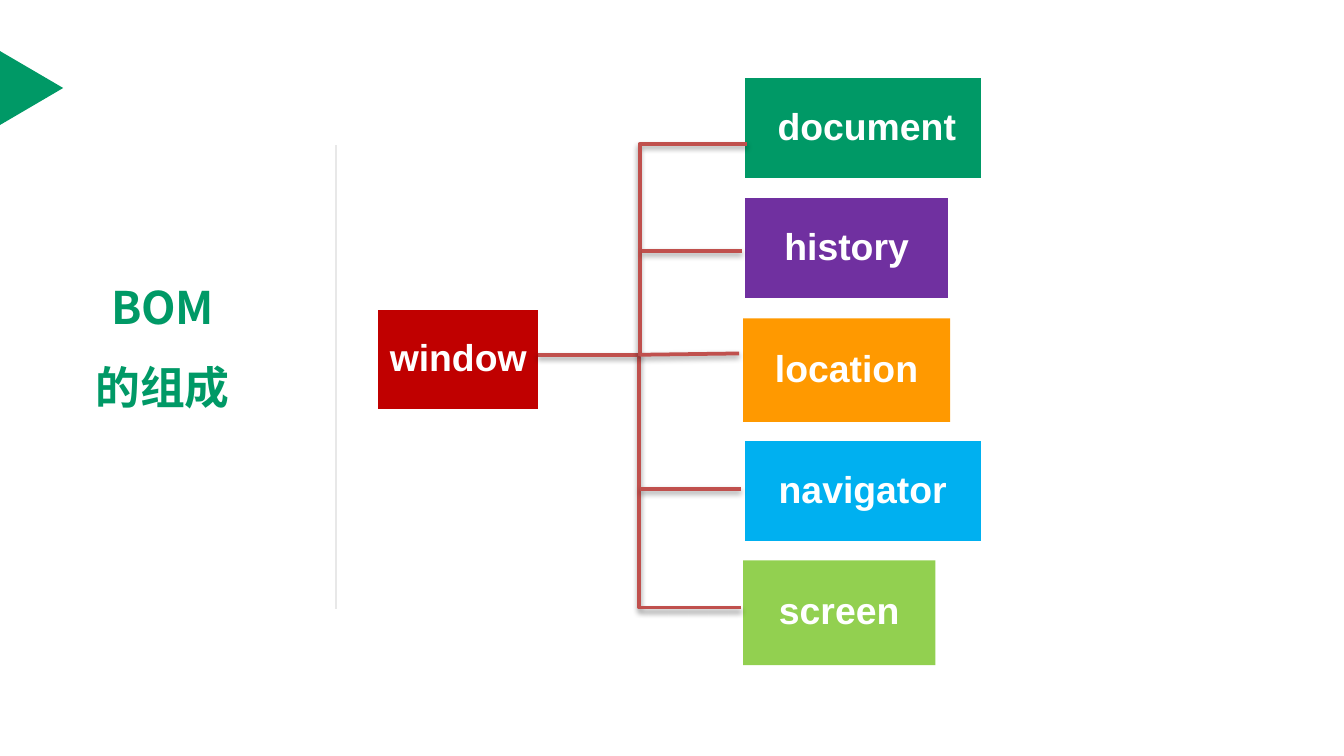
from lxml import etree
from pptx import Presentation
from pptx.dml.color import RGBColor
from pptx.enum.shapes import MSO_CONNECTOR, MSO_SHAPE
from pptx.enum.text import MSO_ANCHOR, MSO_AUTO_SIZE, PP_ALIGN
from pptx.oxml import parse_xml
from pptx.oxml.ns import nsdecls, qn
from pptx.util import Inches, Pt

STRAIGHT, ELBOW = MSO_CONNECTOR.STRAIGHT, MSO_CONNECTOR.ELBOW
RECTANGLE, TRIANGLE = MSO_SHAPE.RECTANGLE, MSO_SHAPE.ISOSCELES_TRIANGLE
MIDDLE, CENTER, NO_FIT = MSO_ANCHOR.MIDDLE, PP_ALIGN.CENTER, MSO_AUTO_SIZE.NONE

THEME = {
    "green": "009966", "red": "C00000", "purple": "7030A0", "orange": "FF9900",
    "blue": "00B0F0", "lime": "92D050", "white": "FFFFFF", "gray": "7F7F7F",
    "branch": "C0504D", "title_font": "Noto Sans CJK SC", "box_font": "Arial",
    "title_size": 24, "box_size": 20, "line_width": 2,
}

SLIDE_WIDTH = Inches(10)
SLIDE_HEIGHT = SLIDE_WIDTH * 9 // 16
TITLE_LINES = ["BOM", "的组成"]
CHILD_LEFT = 5.53
INSET = 0.01
BOXES = [
    ("window", 2.8, 2.29, 1.22, 0.77, "red", True, INSET),
    ("document", CHILD_LEFT, 0.57, 1.78, 0.77, "green", True, 0.07),
    ("history", CHILD_LEFT, 1.46, 1.54, 0.77, "purple", True, INSET),
    ("location", CHILD_LEFT, 2.37, 1.54, 0.77, "orange", False, INSET),
    ("navigator", CHILD_LEFT, 3.27, 1.78, 0.77, "blue", True, INSET),
    ("screen", CHILD_LEFT, 4.17, 1.43, 0.78, "lime", False, INSET),
]
SCREEN_BRANCH = (4, 2.64, 5.51, 4.52)
DOCUMENT_BRANCH = (4.37, 1.46, 5.95, 2.26)
STRAIGHT_BRANCHES = [
    (4.78, 1.87, 5.52, 1.87),
    (4.76, 2.64, 5.5, 2.63),
    (4.76, 3.64, 5.51, 3.64),
]


def color(name):
    return RGBColor.from_string(THEME[name])


def add_text(paragraph, text, font, size, color_name):
    paragraph.alignment = CENTER
    run = paragraph.add_run()
    run.text = text
    run.font.name = THEME[font]
    run.font.size = Pt(THEME[size])
    run.font.bold = True
    run.font.color.rgb = color(color_name)
    east_asian = etree.SubElement(run.font._element, qn("a:ea"))
    east_asian.set("typeface", THEME[font])


def set_frame(frame, left, top, right, bottom):
    frame.word_wrap = True
    frame.auto_size = NO_FIT
    frame.vertical_anchor = MIDDLE
    frame.margin_left, frame.margin_top = Inches(left), Inches(top)
    frame.margin_right, frame.margin_bottom = Inches(right), Inches(bottom)


def add_filled(slide, kind, bounds, fill):
    shape = slide.shapes.add_shape(kind, *map(Inches, bounds))
    shape.shadow.inherit = False
    shape.fill.solid()
    shape.fill.fore_color.rgb = color(fill)
    shape.line.fill.background()
    return shape


def add_box(slide, text, left, top, width, height, fill, outlined, left_inset):
    shape = add_filled(slide, RECTANGLE, (left, top, width, height), fill)
    if outlined:
        shape.line.color.rgb = color("white")
        shape.line.width = Pt(THEME["line_width"])
    set_frame(shape.text_frame, left_inset, INSET, INSET, INSET)
    paragraph = shape.text_frame.paragraphs[0]
    paragraph.line_spacing = 0.9
    add_text(paragraph, text, "box_font", "box_size", "white")


def add_line(slide, kind, ends, color_name, width):
    connector = slide.shapes.add_connector(kind, *map(Inches, ends))
    connector.line.color.rgb = color(color_name)
    connector.line.width = Pt(width)
    effects = etree.SubElement(connector._element.spPr, qn("a:effectLst"))
    return connector, effects


def add_branch(slide, kind, ends):
    connector, effects = add_line(slide, kind, ends, "branch", THEME["line_width"])
    effects.append(parse_xml(
        f'<a:outerShdw {nsdecls("a")} blurRad="{Pt(3.1)}" dist="{Pt(1.6)}" '
        'dir="5400000" rotWithShape="0"><a:srgbClr val="000000">'
        '<a:alpha val="38000"/></a:srgbClr></a:outerShdw>'))
    return connector


def add_title(slide):
    title = slide.shapes.title
    title.left, title.top = Inches(0), Inches(2.11)
    title.width, title.height = Inches(2.42), Inches(1.34)
    frame = title.text_frame
    set_frame(frame, 0, 0, 0, 0.6)
    for index, text in enumerate(TITLE_LINES):
        paragraph = frame.add_paragraph() if index else frame.paragraphs[0]
        paragraph.line_spacing = 1.5
        add_text(paragraph, text, "title_font", "title_size", "green")


def main():
    presentation = Presentation()
    presentation.slide_width = SLIDE_WIDTH
    presentation.slide_height = SLIDE_HEIGHT
    slide = presentation.slides.add_slide(presentation.slide_layouts[5])

    marker = add_filled(slide, TRIANGLE, (-0.04, 0.42, 0.55, 0.47), "green")
    marker.rotation = 90
    divider, _ = add_line(slide, STRAIGHT, (2.5, 1.08, 2.5, 4.53), "gray", 0.5)
    divider_color = divider._element.spPr.find(".//" + qn("a:srgbClr"))
    etree.SubElement(divider_color, qn("a:alpha")).set("val", "50000")
    add_title(slide)

    for box in BOXES:
        add_box(slide, *box)

    add_branch(slide, ELBOW, SCREEN_BRANCH)
    corner = add_branch(slide, ELBOW, DOCUMENT_BRANCH)._element.spPr
    corner.find(qn("a:prstGeom")).set("prst", "bentConnector2")
    corner.find(qn("a:xfrm")).set("rot", str(270 * 60000))
    for ends in STRAIGHT_BRANCHES:
        add_branch(slide, STRAIGHT, ends)

    presentation.save("out.pptx")


if __name__ == "__main__":
    main()
